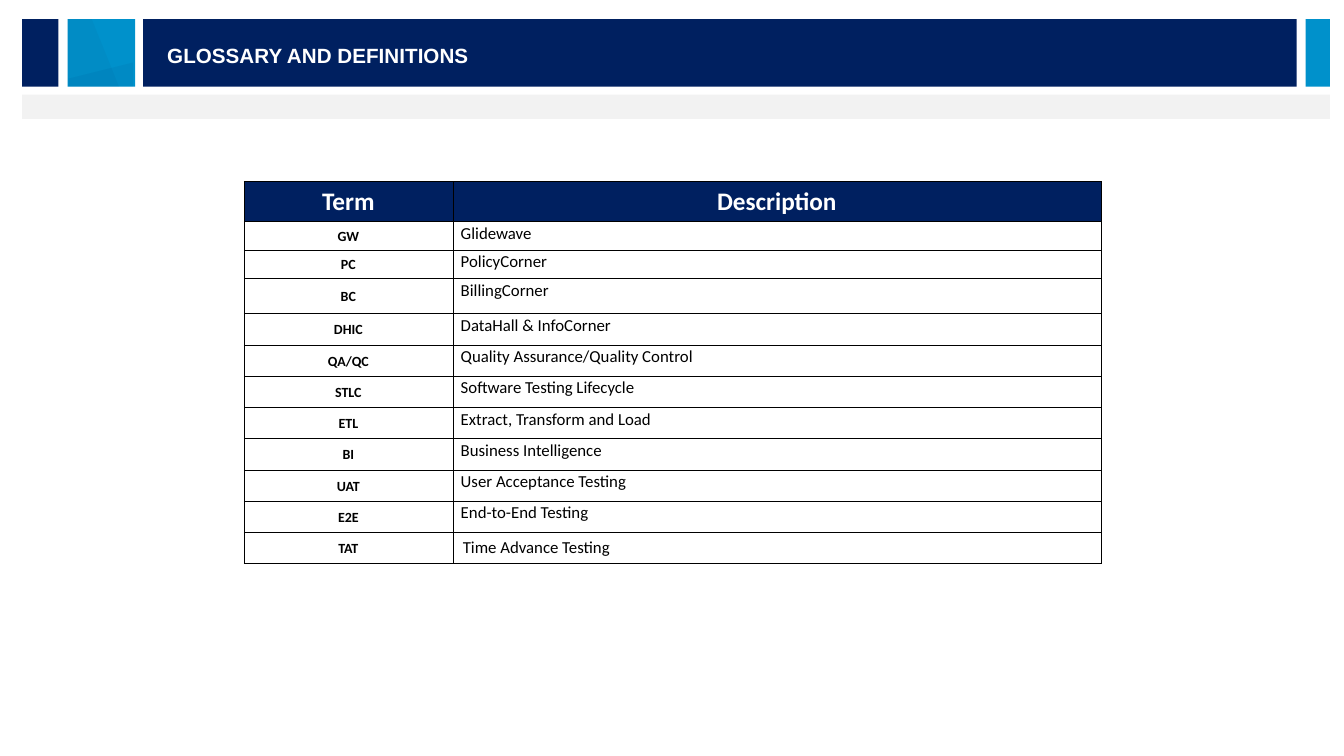
from lxml import etree
from pptx import Presentation
from pptx.dml import color
from pptx.enum import shapes, text
from pptx.oxml import ns
from pptx.util import Inches, Pt

NAVY, BLUE, GREY, WHITE, BLACK = "002060", "0091CB", "F2F2F2", "FFFFFF", "000000"
BAND_TOP, BAND_HEIGHT = 0.19, 0.67
BANDS = [
    (1.42, BAND_TOP, 11.44, BAND_HEIGHT, NAVY),
    (0.67, BAND_TOP, 0.67, BAND_HEIGHT, BLUE),
    (0.22, BAND_TOP, 0.36, BAND_HEIGHT, NAVY),
    (12.95, BAND_TOP, 0.24, BAND_HEIGHT, BLUE),
    (0.22, 0.94, 12.97, 0.24, GREY),
]
FACETS = [
    ([(0.67, 0.19), (0.91, 0.19), (1.18, 0.86), (0.67, 0.86)], "17375E", 5),
    ([(1.32, 0.62), (0.68, 0.78), (0.68, 0.86), (1.32, 0.86)], NAVY, 6),
]
GLOSSARY = [
    ("GW", "Glidewave"),
    ("PC", "PolicyCorner"),
    ("BC", "BillingCorner"),
    ("DHIC", "DataHall & InfoCorner"),
    ("QA/QC", "Quality Assurance/Quality Control"),
    ("STLC", "Software Testing Lifecycle"),
    ("ETL", "Extract, Transform and Load"),
    ("BI", "Business Intelligence"),
    ("UAT", "User Acceptance Testing"),
    ("E2E", "End-to-End Testing"),
    ("TAT", "Time Advance Testing"),
]
COL_WIDTHS = [2.07, 6.43]
ROW_HEIGHTS = [0.4, 0.28, 0.28, 0.35] + [0.31] * 8


def rgb(value):
    """Turn a hex string into a colour."""
    return color.RGBColor.from_string(value)


def paint(sp, fill):
    """Give a shape a plain fill without line or shadow."""
    sp.shadow.inherit = False
    sp.fill.solid()
    sp.fill.fore_color.rgb = rgb(fill)
    sp.line.fill.background()


def add_band(s, left, top, width, height, fill):
    """Add one rectangle of the header."""
    box = map(Inches, (left, top, width, height))
    paint(s.shapes.add_shape(shapes.MSO_SHAPE.RECTANGLE, *box), fill)


def add_facet(s, points, fill, opacity):
    """Add a translucent polygon, with opacity in percent."""
    start, *rest = [(Inches(x), Inches(y)) for x, y in points]
    builder = s.shapes.build_freeform(*start)
    builder.add_line_segments(rest)
    sp = builder.convert_to_shape()
    paint(sp, fill)
    clr = sp._element.spPr.find(ns.qn("a:solidFill"))[0]
    etree.SubElement(clr, ns.qn("a:alpha"), val=str(opacity * 1000))


def style_text(p, font, size, fill, bold):
    """Set the font of a paragraph."""
    p.font.name = font
    p.font.size = Pt(size)
    p.font.bold = bold
    p.font.color.rgb = rgb(fill)


def add_title(s, title):
    """Add the heading on the navy band."""
    sp = s.shapes.add_textbox(Inches(1.56), Inches(0.38), Inches(8.22), Inches(0.33))
    tf = sp.text_frame
    tf.word_wrap = True
    tf.vertical_anchor = text.MSO_ANCHOR.MIDDLE
    tf.text = title
    style_text(tf.paragraphs[0], "Arial", 14.7, WHITE, True)


def add_borders(cell, bottom):
    """Draw the four borders of a cell, the lower one as wide as given."""
    tc_pr = cell._tc.get_or_add_tcPr()
    for side, width in (("L", 0.25), ("R", 0.25), ("T", 0.25), ("B", bottom)):
        ln = etree.SubElement(tc_pr, ns.qn(f"a:ln{side}"), w=str(Pt(width)))
        solid = etree.SubElement(ln, ns.qn("a:solidFill"))
        etree.SubElement(solid, ns.qn("a:srgbClr"), val=BLACK)


def fill_cell(cell, words, size, ink, bold, centred, bottom=0.25):
    """Write a cell's text and draw its borders."""
    cell.text = words
    p = cell.text_frame.paragraphs[0]
    style_text(p, "Calibri", size, ink, bold)
    if centred:
        p.alignment = text.PP_ALIGN.CENTER
        cell.vertical_anchor = text.MSO_ANCHOR.MIDDLE
    add_borders(cell, bottom)
    cell.fill.background()


def tighten(cell):
    """Reduce a cell's margins and space its paragraph."""
    cell.margin_left = cell.margin_right = Inches(0.08)
    cell.margin_top, cell.margin_bottom = Inches(0.02), 0
    cell.text_frame.paragraphs[0].space_after = Pt(9)


def add_glossary(s):
    """Add the table of terms and descriptions."""
    frame = s.shapes.add_table(
        len(ROW_HEIGHTS), len(COL_WIDTHS), Inches(2.42), Inches(1.8),
        Inches(sum(COL_WIDTHS)), Inches(sum(ROW_HEIGHTS)))
    table = frame.table
    for column, width in zip(table.columns, COL_WIDTHS):
        column.width = Inches(width)
    for row, height in zip(table.rows, ROW_HEIGHTS):
        row.height = Inches(height)
    for cell, heading in zip(table.rows[0].cells, ("Term", "Description")):
        fill_cell(cell, heading, 18, WHITE, True, True, bottom=1)
        cell.fill.solid()
        cell.fill.fore_color.rgb = rgb(NAVY)
    for i, (term, description) in enumerate(GLOSSARY, 1):
        term_cell, description_cell = table.rows[i].cells
        fill_cell(term_cell, term, 10, BLACK, True, True)
        fill_cell(description_cell, description, 12, BLACK, False, False)
        tighten(term_cell)
        if i < len(GLOSSARY):
            tighten(description_cell)


def main():
    """Build the glossary slide."""
    prs = Presentation()
    prs.slide_width, prs.slide_height = Inches(13.33), Inches(7.5)
    s = prs.slides.add_slide(prs.slide_layouts[6])
    for band in BANDS:
        add_band(s, *band)
    for facet in FACETS:
        add_facet(s, *facet)
    add_title(s, "GLOSSARY AND DEFINITIONS")
    add_glossary(s)
    prs.save("out.pptx")


if __name__ == "__main__":
    main()
